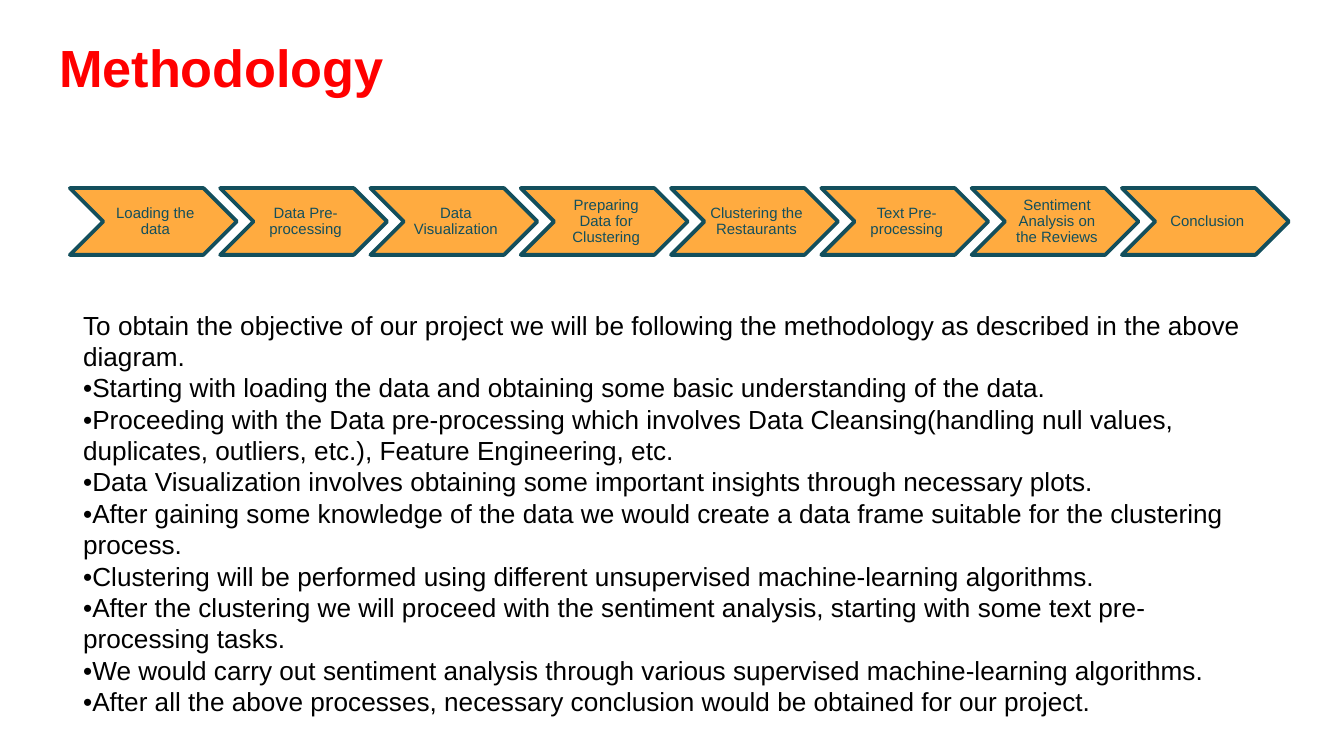
from dataclasses import dataclass

from pptx import Presentation
from pptx.dml.color import RGBColor
from pptx.enum.shapes import MSO_SHAPE as Shape
from pptx.enum.text import MSO_ANCHOR as Anchor, MSO_AUTO_SIZE as AutoSize, PP_ALIGN as Align
from pptx.util import Inches, Pt


@dataclass(frozen=True)
class Theme:
    font: str = "Arial"
    title_color: RGBColor = RGBColor(0xFF, 0x00, 0x00)
    body_color: RGBColor = RGBColor(0x00, 0x00, 0x00)
    step_fill: RGBColor = RGBColor(0xFF, 0xAB, 0x40)
    step_ink: RGBColor = RGBColor(0x13, 0x4F, 0x5C)
    title_size: Pt = Pt(28)
    body_size: Pt = Pt(14)
    step_size: Pt = Pt(8)
    step_line: Pt = Pt(2)


theme = Theme()

STEPS = [
    "Loading the data",
    "Data Pre-processing",
    "Data Visualization",
    "Preparing Data for Clustering",
    "Clustering the Restaurants",
    "Text Pre-processing",
    "Sentiment Analysis on the Reviews",
    "Conclusion",
]
EXPLANATION = [
    "To obtain the objective of our project we will be following the methodology "
    "as described in the above diagram.",
    "•Starting with loading the data and obtaining some basic understanding of the data.",
    "•Proceeding with the Data pre-processing which involves Data Cleansing(handling null values, "
    "duplicates, outliers, etc.), Feature Engineering, etc.",
    "•Data Visualization involves obtaining some important insights through necessary plots.",
    "•After gaining some knowledge of the data we would create a data frame suitable for the "
    "clustering process.",
    "•Clustering will be performed using different unsupervised machine-learning algorithms.",
    "•After the clustering we will proceed with the sentiment analysis, starting with some text "
    "pre-processing tasks.",
    "•We would carry out sentiment analysis through various supervised machine-learning algorithms.",
    "•After all the above processes, necessary conclusion would be obtained for our project.",
]


def add_run(paragraph, text, size, color, bold=False):
    run = paragraph.add_run()
    run.text = text
    run.font.name = theme.font
    run.font.size = size
    run.font.bold = bold
    run.font.color.rgb = color


# A 16:9 slide
presentation = Presentation()
presentation.slide_width = Inches(10)
presentation.slide_height = presentation.slide_width * 9 // 16
slide = presentation.slides.add_slide(presentation.slide_layouts[5])

# Title
title = slide.shapes.title
title.left, title.top = Inches(0.34), Inches(0.21)
title.width, title.height = Inches(8.41), Inches(0.57)
title.text_frame.auto_size = AutoSize.NONE
title.text_frame.vertical_anchor = Anchor.TOP
paragraph = title.text_frame.paragraphs[0]
paragraph.alignment = Align.LEFT
add_run(paragraph, "Methodology", theme.title_size, theme.title_color, bold=True)

# Process steps: chevrons overlap by a tenth of their width and fill the row
left_margin = Inches(0.52)
row_width = Inches(9.07)
step_width = int(row_width / (1 + 0.9 * (len(STEPS) - 1)))
step_height = int(0.4 * step_width)
for column, label in enumerate(STEPS):
    chevron = slide.shapes.add_shape(
        Shape.CHEVRON, int(left_margin + column * 0.9 * step_width), Inches(1.4),
        step_width, step_height)
    chevron.shadow.inherit = False
    chevron.fill.solid()
    chevron.fill.fore_color.rgb = theme.step_fill
    chevron.line.color.rgb = theme.step_ink
    chevron.line.width = theme.step_line
    frame = chevron.text_frame
    frame.word_wrap = True
    frame.vertical_anchor = Anchor.MIDDLE
    frame.margin_left, frame.margin_right = Inches(0.03), 0
    frame.margin_top = frame.margin_bottom = Inches(0.01)
    paragraph = frame.paragraphs[0]
    paragraph.alignment = Align.CENTER
    paragraph.line_spacing = 0.9
    add_run(paragraph, label, theme.step_size, theme.step_ink)

# Explanation of the steps
body = slide.shapes.add_textbox(left_margin, Inches(2.25), Inches(8.95), Inches(3.16))
frame = body.text_frame
frame.word_wrap = True
for index, text in enumerate(EXPLANATION):
    paragraph = frame.add_paragraph() if index else frame.paragraphs[0]
    add_run(paragraph, text, theme.body_size, theme.body_color)

presentation.save("out.pptx")
